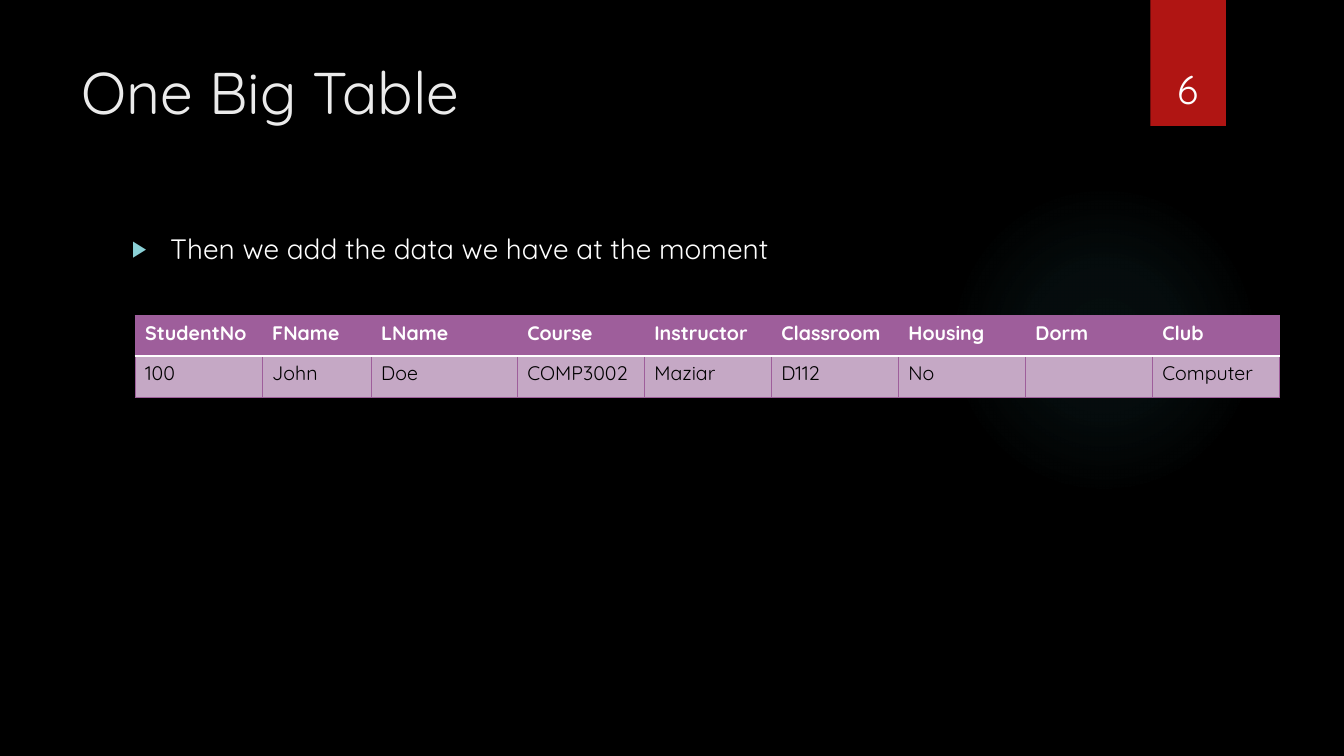
from dataclasses import dataclass

from lxml import etree
from pptx import Presentation
from pptx.dml.color import RGBColor
from pptx.enum import shapes, text
from pptx.oxml import ns, parse_xml
from pptx.util import Inches, Pt

FONT = "Quicksand"
PURPLE, LILAC, WHITE, BLACK = "9E5E9B", "C5A8C5", "FFFFFF", "000000"


@dataclass(frozen=True)
class RowStyle:
    fill: str
    ink: str
    bold: bool


@dataclass(frozen=True)
class Column:
    heading: str
    value: str
    width: float = 1.26


HEADER = RowStyle(PURPLE, WHITE, True)
RECORD = RowStyle(LILAC, BLACK, False)
COLUMNS = [
    Column("StudentNo", "100"),
    Column("FName", "John", 1.08),
    Column("LName", "Doe", 1.45),
    Column("Course", "COMP3002"),
    Column("Instructor", "Maziar"),
    Column("Classroom", "D112"),
    Column("Housing", "No"),
    Column("Dorm", ""),
    Column("Club", "Computer"),
]


def rgb(value: str) -> RGBColor:
    return RGBColor.from_string(value)


def place(shape, left: float, top: float, width: float, height: float) -> None:
    shape.left, shape.top = Inches(left), Inches(top)
    shape.width, shape.height = Inches(width), Inches(height)


def write(frame, words: str, size: float, ink: str, bold: bool = False):
    para = frame.paragraphs[0]
    para.text = words
    para.font.name, para.font.size, para.font.bold = FONT, Pt(size), bold
    para.font.color.rgb = rgb(ink)
    return para


def add_plain_shape(page, kind, *bounds: float):
    shape = page.shapes.add_shape(kind, *map(Inches, bounds))
    shape.shadow.inherit = False
    shape.line.fill.background()
    return shape


def add_text_box(page, *bounds: float):
    box = page.shapes.add_textbox(*map(Inches, bounds))
    box.text_frame.word_wrap = True
    return box


def fill_with_glow(shape, colour: str, stops: list[tuple[int, int]]) -> None:
    """Radial gradient; each stop is a position and an opacity in percent."""
    marks = "".join(
        f'<a:gs pos="{position * 1000}"><a:srgbClr val="{colour}">'
        f'<a:alpha val="{opacity * 1000}"/></a:srgbClr></a:gs>'
        for position, opacity in stops
    )
    gradient = parse_xml(
        f'<a:gradFill {ns.nsdecls("a")}><a:gsLst>{marks}</a:gsLst><a:path path="circle">'
        '<a:fillToRect l="50000" t="50000" r="50000" b="50000"/></a:path></a:gradFill>'
    )
    shape.fill.background()
    blank = shape._element.spPr.find(ns.qn("a:noFill"))
    blank.getparent().replace(blank, gradient)


def add_bullet(para, mark: str, colour: str, percent: int, indent: float) -> None:
    props = para._p.get_or_add_pPr()
    props.set("marL", str(Inches(indent)))
    props.set("indent", str(-Inches(indent)))
    bullet_colour = etree.SubElement(props, ns.qn("a:buClr"))
    etree.SubElement(bullet_colour, ns.qn("a:srgbClr"), val=colour)
    etree.SubElement(props, ns.qn("a:buSzPct"), val=str(percent * 1000))
    etree.SubElement(props, ns.qn("a:buFont"), typeface="Arial")
    etree.SubElement(props, ns.qn("a:buChar"), char=mark)


def set_border(cell, side: str, colour: str, width: float) -> None:
    line = parse_xml(
        f'<a:ln{side} {ns.nsdecls("a")} w="{Pt(width)}"><a:solidFill>'
        f'<a:srgbClr val="{colour}"/></a:solidFill></a:ln{side}>'
    )
    props = cell._tc.get_or_add_tcPr()
    props.insert(len(props.findall("*")) - 1, line)  # lines go before the fill


def style_cell(cell, words: str, style: RowStyle) -> None:
    cell.fill.solid()
    cell.fill.fore_color.rgb = rgb(style.fill)
    write(cell.text_frame, words, 14, style.ink, style.bold)
    divider = (WHITE, 1.5)
    edge = (PURPLE, 0.75)
    is_header = style is HEADER
    borders = {
        "L": edge,
        "R": edge,
        "T": edge if is_header else divider,
        "B": divider if is_header else edge,
    }
    for side, (colour, width) in borders.items():
        set_border(cell, side, colour, width)


def add_student_table(page) -> None:
    total = sum(column.width for column in COLUMNS)
    frame = page.shapes.add_table(
        2, len(COLUMNS), Inches(1.34), Inches(3.13), Inches(total), Inches(0.81)
    )
    table = frame.table
    for index, column in enumerate(COLUMNS):
        table.columns[index].width = Inches(column.width)
        style_cell(table.cell(0, index), column.heading, HEADER)
        style_cell(table.cell(1, index), column.value, RECORD)


def main() -> None:
    deck = Presentation()
    deck.slide_width, deck.slide_height = Inches(13.33), Inches(7.5)
    page = deck.slides.add_slide(deck.slide_layouts[5])
    page.background.fill.solid()
    page.background.fill.fore_color.rgb = rgb(BLACK)

    # Backdrop: soft glow and red page tab
    glow = add_plain_shape(page, shapes.MSO_SHAPE.OVAL, 9.41, 1.83, 3.08, 3.08)
    fill_with_glow(glow, "50B9C1", [(0, 7), (36, 6), (69, 0)])
    tab = add_plain_shape(page, shapes.MSO_SHAPE.RECTANGLE, 11.41, 0, 0.75, 1.25)
    tab.fill.solid()
    tab.fill.fore_color.rgb = rgb("B01513")

    # Title
    title = page.shapes.title
    place(title, 0.71, 0.5, 10.29, 1.53)
    title.text_frame.vertical_anchor = text.MSO_ANCHOR.TOP
    title.text_frame.auto_size = text.MSO_AUTO_SIZE.NONE
    write(title.text_frame, "One Big Table", 42, "EBEBEB").alignment = text.PP_ALIGN.LEFT

    # Bullet text
    body = add_text_box(page, 1.21, 2.25, 9.78, 4.59)
    para = write(body.text_frame, "Then we add the data we have at the moment", 20, WHITE)
    add_bullet(para, "▶", "8AD0D6", 80, 0.38)

    # Student table
    add_student_table(page)

    # Page number
    number = add_text_box(page, 11.32, 0.32, 0.92, 0.84)
    number.text_frame.vertical_anchor = text.MSO_ANCHOR.BOTTOM
    write(number.text_frame, "6", 28, WHITE).alignment = text.PP_ALIGN.CENTER

    deck.save("out.pptx")


if __name__ == "__main__":
    main()
